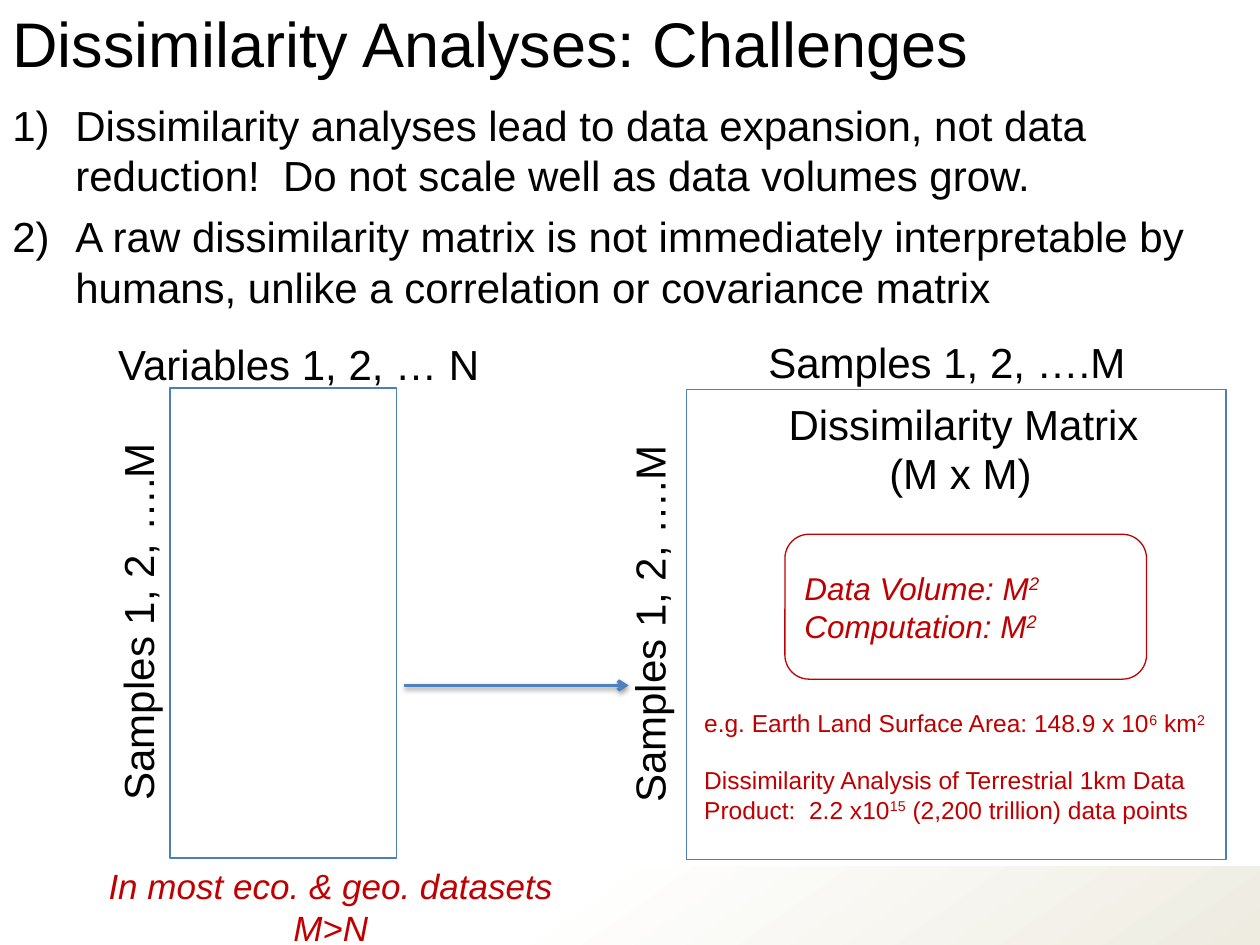
import pptx
import pptx.util
import pptx.dml.color
import pptx.enum.shapes
import pptx.enum.text
import pptx.oxml
from pptx.oxml.ns import qn, nsdecls

Inches = pptx.util.Inches
Pt = pptx.util.Pt
RGBColor = pptx.dml.color.RGBColor
Shape = pptx.enum.shapes.MSO_SHAPE
Align = pptx.enum.text.PP_ALIGN
Anchor = pptx.enum.text.MSO_ANCHOR

BLACK = RGBColor(0x00, 0x00, 0x00)
WHITE = RGBColor(0xFF, 0xFF, 0xFF)
RED = RGBColor(0xC0, 0x00, 0x00)
OUTLINE = RGBColor(0x4B, 0x7E, 0xBC)
ARROW = RGBColor(0x4F, 0x81, 0xBD)
BEIGE = RGBColor(0xEE, 0xEC, 0xE1)

HEADING = dict(size=Pt(36), color=BLACK)
BODY = dict(size=Pt(24), color=BLACK)
REMARK = dict(size=Pt(20), color=RED, italic=True)
COST = dict(size=Pt(18), color=RED, italic=True)
EXAMPLE = dict(size=Pt(14), color=RED)

# Text between a pair of ^ marks is superscript.
TITLE = ["Dissimilarity Analyses: Challenges"]
CHALLENGES = [
    "Dissimilarity analyses lead to data expansion, not data reduction!  "
    "Do not scale well as data volumes grow.",
    "A raw dissimilarity matrix is not immediately interpretable by humans, "
    "unlike a correlation or covariance matrix",
]
SAMPLES = "Samples 1, 2, ….M"
LABELS = [  # text, left, top, width, rotation
    ("Variables 1, 2, … N", 0.84, 2.64, 3.1, 0),
    (SAMPLES, -0.44, 4.67, 3.06, 270),
    (SAMPLES, 3.62, 4.69, 3.06, 270),
    (SAMPLES, 6, 2.62, 3.06, 0),
    ("Dissimilarity Matrix", 6.16, 3.11, 3.01, 0),
    ("(M x M)", 6.96, 3.5, 1.34, 0),
]
LABEL_HEIGHT = 0.5
MATRICES = [(1.35, 3.08, 1.8, 3.73), (5.45, 3.09, 4.28, 3.73)]
DATASET_REMARK = ["In most eco. & geo. datasets", "M>N"]
COSTS = ["Data Volume: M^2^", "Computation: M^2^"]
EXAMPLES = [
    "e.g. Earth Land Surface Area: 148.9 x 10^6^ km^2^",
    "Dissimilarity Analysis of Terrestrial 1km Data Product:  "
    "2.2 x10^15^ (2,200 trillion) data points",
]


def write(shape, lines, style, wrap=True, anchor=Anchor.TOP, **paragraph_format):
    frame = shape.text_frame
    frame.word_wrap = wrap
    frame.vertical_anchor = anchor
    for index, line in enumerate(lines):
        para = frame.add_paragraph() if index else frame.paragraphs[0]
        for name, value in paragraph_format.items():
            setattr(para, name, value)
        for part, text in enumerate(line.split("^")):
            if not text:
                continue
            span = para.add_run()
            span.text = text
            span.font.name = "Arial"
            for name, value in style.items():
                if name == "color":
                    span.font.color.rgb = value
                else:
                    setattr(span.font, name, value)
            if part % 2:
                span.font._element.set("baseline", "30000")


def add_text(page, area, lines, style, **options):
    box = page.shapes.add_textbox(*map(Inches, area))
    write(box, lines, style, **options)
    return box


def add_panel(page, area, color, kind=Shape.RECTANGLE):
    panel = page.shapes.add_shape(kind, *map(Inches, area))
    panel.shadow.inherit = False
    panel.fill.solid()
    panel.fill.fore_color.rgb = WHITE
    panel.line.color.rgb = color
    panel.line.width = Pt(0.75)
    return panel


def add_footer_band(page):
    band = page.shapes.add_shape(
        Shape.RECTANGLE, *map(Inches, (0, 6.88, 10, 0.62)))
    band.shadow.inherit = False
    band.line.fill.background()
    band.fill.gradient()
    band.fill.gradient_angle = 360 - 55
    for stop, (position, color) in zip(
            band.fill.gradient_stops, [(0.43, WHITE), (1, BEIGE)]):
        stop.position = position
        stop.color.rgb = color


def number_paragraphs(box):
    for para in box.text_frame.paragraphs:
        properties = para._p.get_or_add_pPr()
        properties.set("marL", str(Inches(0.5)))
        properties.set("indent", str(Inches(-0.5)))
        properties.append(pptx.oxml.parse_xml(
            f'<a:buAutoNum {nsdecls("a")} type="arabicParenR"/>'))


def add_arrow(page, start, end):
    arrow = page.shapes.add_connector(
        pptx.enum.shapes.MSO_CONNECTOR.STRAIGHT, *map(Inches, start + end))
    arrow.line.color.rgb = ARROW
    arrow.line.width = Pt(2)
    arrow.line._get_or_add_ln().append(pptx.oxml.parse_xml(
        f'<a:tailEnd {nsdecls("a")} type="arrow"/>'))
    arrow._element.spPr.append(pptx.oxml.parse_xml(
        f'<a:effectLst {nsdecls("a")}>'
        f'<a:outerShdw blurRad="{Pt(3.1)}" dist="{Pt(1.6)}" dir="5400000" '
        'rotWithShape="0"><a:srgbClr val="000000"><a:alpha val="38000"/>'
        '</a:srgbClr></a:outerShdw></a:effectLst>'))


def main():
    deck = pptx.Presentation()
    deck.slide_width, deck.slide_height = Inches(10), Inches(7.5)
    page = deck.slides.add_slide(deck.slide_layouts[6])

    add_footer_band(page)
    add_text(page, (0, 0, 10, 0.67), TITLE, HEADING, anchor=Anchor.MIDDLE)
    for area in MATRICES:
        add_panel(page, area, OUTLINE)
    for text, left, top, width, rotation in LABELS:
        label = add_text(page, (left, top, width, LABEL_HEIGHT), [text], BODY,
                         wrap=False)
        label.rotation = rotation
    add_text(page, (0.53, 6.81, 4.19, 0.77), DATASET_REMARK, REMARK,
             alignment=Align.CENTER)
    add_arrow(page, (3.21, 5.44), (4.99, 5.44))

    cost_panel = add_panel(page, (6.23, 4.24, 2.87, 1.15), RED,
                           Shape.ROUNDED_RECTANGLE)
    fill_color = cost_panel._element.spPr.find(qn("a:solidFill"))[0]
    fill_color.append(pptx.oxml.parse_xml(
        f'<a:alpha {nsdecls("a")} val="67000"/>'))
    write(cost_panel, COSTS, COST, anchor=Anchor.MIDDLE, alignment=Align.LEFT)

    challenges = add_text(page, (0, 0.74, 9.66, 1.8), CHALLENGES, BODY,
                          space_after=Pt(6))
    number_paragraphs(challenges)
    add_text(page, (5.49, 5.57, 4.21, 1.04), EXAMPLES, EXAMPLE,
             space_after=Pt(16))
    deck.save("out.pptx")


if __name__ == "__main__":
    main()
